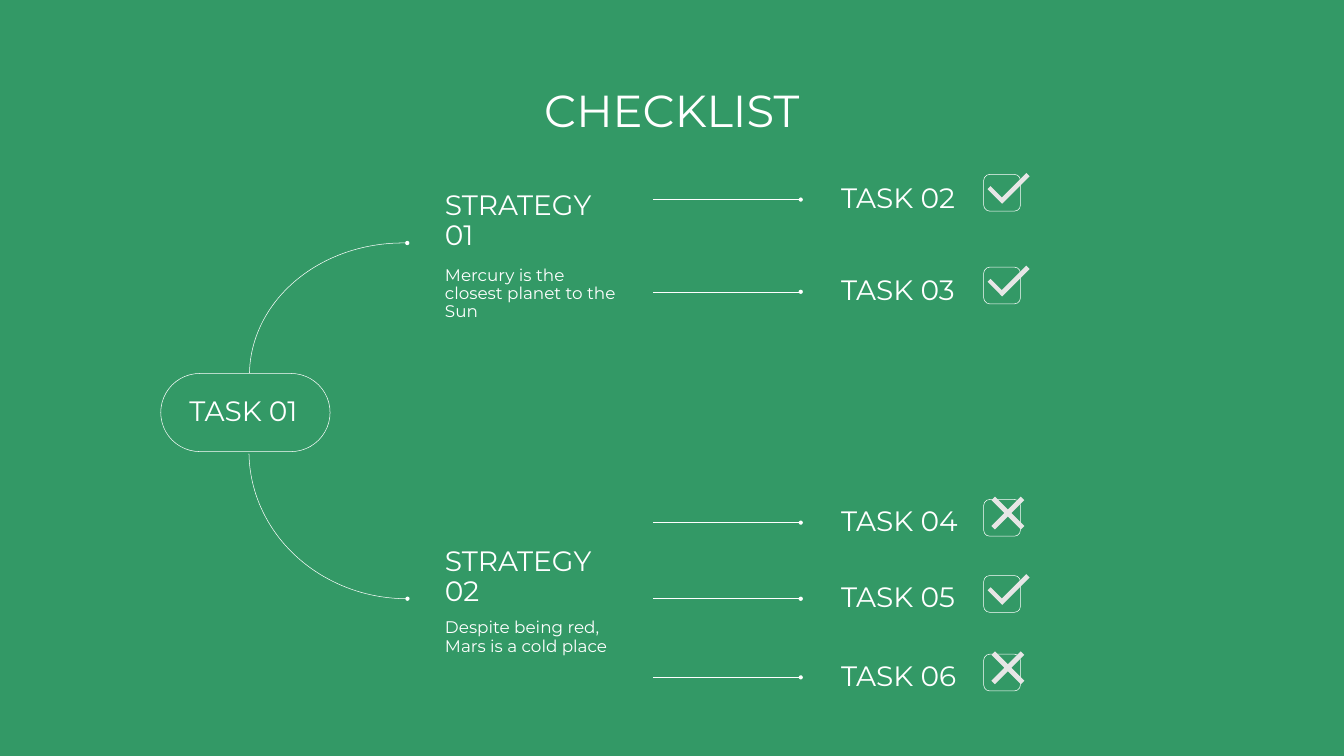
from dataclasses import dataclass

from lxml.etree import SubElement
from pptx import Presentation
from pptx.dml.color import RGBColor
from pptx.enum.shapes import MSO_CONNECTOR, MSO_SHAPE
from pptx.enum.text import MSO_ANCHOR, MSO_AUTO_SIZE, PP_ALIGN
from pptx.oxml.ns import qn
from pptx.util import Inches, Pt


@dataclass(frozen=True)
class Theme:
    background: RGBColor = RGBColor(0x33, 0x99, 0x66)
    ink: RGBColor = RGBColor(0xFF, 0xFF, 0xFF)
    mark: RGBColor = RGBColor(0xE7, 0xE6, 0xE6)
    font: str = "Montserrat"
    title_size: int = 64
    label_size: int = 40
    body_size: int = 24
    line_width: float = 0.75
    inset: float = 0.27


THEME = Theme()


def format_text(frame, text, size, anchor=MSO_ANCHOR.MIDDLE, align=PP_ALIGN.LEFT):
    frame.text = text
    frame.word_wrap = True
    frame.auto_size = MSO_AUTO_SIZE.NONE
    frame.vertical_anchor = anchor
    paragraph = frame.paragraphs[0]
    paragraph.alignment = align
    paragraph.line_spacing = 0.9
    paragraph.space_before = Pt(0)
    font = paragraph.runs[0].font
    font.name = THEME.font
    font.size = Pt(size)
    font.color.rgb = THEME.ink


def add_text(slide, box, text, **text_format):
    frame = slide.shapes.add_textbox(*map(Inches, box)).text_frame
    frame.margin_left = frame.margin_right = Inches(THEME.inset)
    frame.margin_top = frame.margin_bottom = Inches(THEME.inset)
    format_text(frame, text, **text_format)


def add_shape(slide, preset, box, adjustments, fill=None, rotation=0):
    shape = slide.shapes.add_shape(preset, *map(Inches, box))
    shape.shadow.inherit = False
    shape.rotation = rotation
    for index, value in enumerate(adjustments):
        shape.adjustments[index] = value
    if fill is None:
        shape.fill.background()
        draw_line(shape)
    else:
        shape.fill.solid()
        shape.fill.fore_color.rgb = fill
        shape.line.fill.background()
    return shape


def draw_line(shape):
    shape.line.color.rgb = THEME.ink
    shape.line.width = Pt(THEME.line_width)


def add_oval_end(shape):
    line = shape.line._get_or_add_ln()
    SubElement(line, qn("a:tailEnd"), type="oval")


def add_arc(slide, box, start, end, flipped=False):
    arc = add_shape(slide, MSO_SHAPE.ARC, box, (start * 0.6, end * 0.6), rotation=270)
    add_oval_end(arc)
    if flipped:
        arc._element.spPr.find(qn("a:xfrm")).set("flipH", "1")


def add_branch_line(slide, left, top, width):
    connector = slide.shapes.add_connector(
        MSO_CONNECTOR.STRAIGHT,
        Inches(left), Inches(top), Inches(left + width), Inches(top),
    )
    draw_line(connector)
    add_oval_end(connector)
    SubElement(connector._element.spPr, qn("a:effectLst"))


def add_title(slide, box, text):
    title = slide.shapes.title
    title.left, title.top, title.width, title.height = map(Inches, box)
    format_text(title.text_frame, text, THEME.title_size, align=PP_ALIGN.CENTER)


def add_root_task(slide, box, text):
    left, top, width, height = box
    add_shape(slide, MSO_SHAPE.ROUNDED_RECTANGLE, box, (0.5,))
    label_box = (left + 0.3, top + 0.22, width - 0.3, 1.12)
    add_text(slide, label_box, text, size=THEME.label_size)


def add_strategy(slide, box, heading, description, description_offset):
    left, top, width, height = box
    add_text(slide, (left, top, 3.7, 1.12), heading, size=THEME.label_size)
    add_text(
        slide, (left, top + description_offset, width, height - description_offset),
        description, size=THEME.body_size, anchor=MSO_ANCHOR.TOP,
    )


def add_checkbox(slide, box, done):
    left, top, width, height = box
    add_shape(slide, MSO_SHAPE.ROUNDED_RECTANGLE, box, (0.167,))
    if done:
        add_shape(
            slide, MSO_SHAPE.CORNER, (left + 0.11, top - 0.04, 0.77, 0.41),
            (0.227, 0.204), fill=THEME.mark, rotation=315,
        )
    else:
        add_shape(
            slide, MSO_SHAPE.MATH_MULTIPLY, (left - 0.08, top - 0.29, 1.12, 1.12),
            (0.087,), fill=THEME.mark,
        )


def add_task_row(slide, box, text, checkbox_offset, done):
    left, top, width, height = box
    add_branch_line(slide, left, top + height / 2, 2.93)
    add_text(slide, (left + 3.46, top, 3.7, height), text, size=THEME.label_size)
    add_checkbox(slide, (left + 6.56, top + checkbox_offset, 0.73, 0.73), done)


def main():
    presentation = Presentation()
    presentation.slide_width = Inches(26.67)
    presentation.slide_height = Inches(15)
    slide = presentation.slides.add_slide(presentation.slide_layouts[5])
    slide.background.fill.solid()
    slide.background.fill.fore_color.rgb = THEME.background

    add_title(slide, (1.83, 0.8, 23, 2.9), "CHECKLIST")
    add_root_task(slide, (3.19, 7.41, 3.36, 1.55), "TASK 01")
    add_arc(slide, (5.37, 4.4, 5.25, 6.09), 270.87, 1.89)
    add_arc(slide, (5.16, 5.81, 5.85, 6.29), 270.87, 0, flipped=True)

    strategies = (
        (3.84, "STRATEGY 01", "Mercury is the closest planet to the Sun", 1.19),
        (10.9, "STRATEGY 02", "Despite being red, Mars is a cold place", 1.12),
    )
    for top, heading, description, offset in strategies:
        add_strategy(slide, (8.56, top, 3.95, 3.2), heading, description, offset)

    tasks = (
        (3.4, "TASK 02", 0.06, True),
        (5.23, "TASK 03", 0.07, True),
        (9.81, "TASK 04", 0.1, False),
        (11.32, "TASK 05", 0.1, True),
        (12.88, "TASK 06", 0.1, False),
    )
    for top, text, checkbox_offset, done in tasks:
        add_task_row(slide, (12.96, top, 7.29, 1.12), text, checkbox_offset, done)

    presentation.save("out.pptx")


if __name__ == "__main__":
    main()
